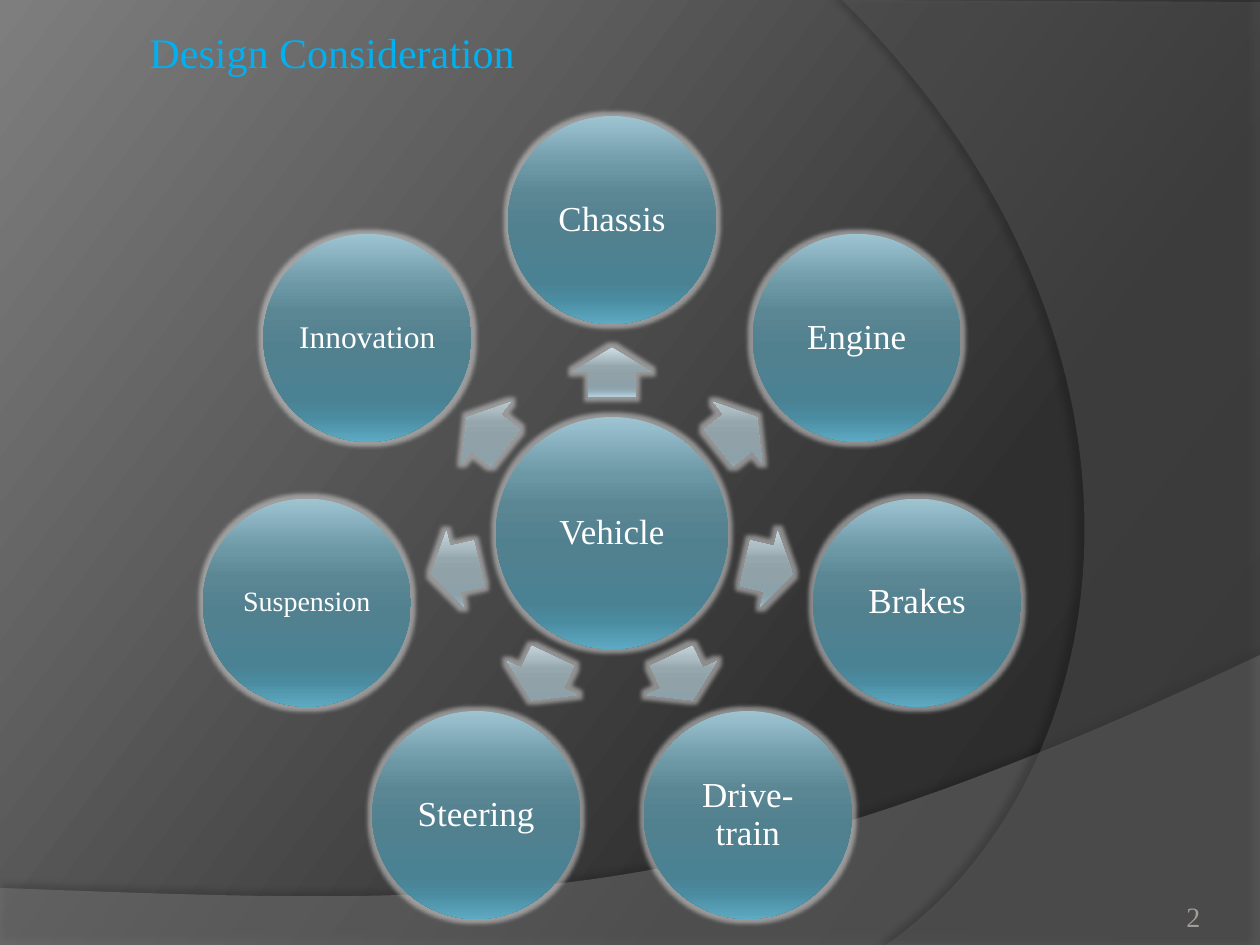
from dataclasses import dataclass
from math import cos, radians, sin

from lxml.etree import SubElement
from pptx import Presentation
from pptx.dml.color import RGBColor
from pptx.enum.shapes import MSO_SHAPE as Shape
from pptx.enum.text import MSO_ANCHOR as Anchor, MSO_AUTO_SIZE as AutoSize, PP_ALIGN as Align
from pptx.oxml.ns import qn
from pptx.util import Pt

EMU_PER_PX = 914400 / 126
WIDTH, HEIGHT = 1260, 945
CENTER = (612, 533)
HUB_SIZE, NODE_SIZE = 232, 208
NODE_ORBIT, ARROW_ORBIT = 313, 161
ARROW_SIZE = (49, 78)
CURVE_STEPS = 60


@dataclass(frozen=True)
class Theme:
    font: str = "Times New Roman"
    title: str = "00B0F0"
    label: str = "FFFFFF"
    number: str = "A29D99"
    glow: str = "E6E6E6"
    shadow: str = "000000"
    low_band: str = "7F7F7F"
    side_band: str = "5E5E5E"
    title_size: int = 24
    label_size: int = 20
    number_size: int = 16
    backdrop: tuple = ((0, "282828"), (30, "2F2F2F"), (100, "7E7E7E"))
    circle: tuple = ((0, "9EC4D2"), (25, "6C97A5"), (38, "5B8694"), (55, "51808F"),
                     (80, "4A8294"), (88, "4A8BA0"), (100, "5DAAC2"))
    arrow: tuple = ((0, "CCDEE5"), (25, "ACBCC3"), (38, "95A6AC"), (55, "90A1A8"),
                    (80, "8CA1A9"), (88, "92AAB4"), (100, "B4D0DC"))


THEME = Theme()
NODES = (("Chassis", THEME.label_size), ("Engine", THEME.label_size),
         ("Brakes", THEME.label_size), ("Drive-train", THEME.label_size),
         ("Steering", THEME.label_size), ("Suspension", 16), ("Innovation", 18))


def px(length):
    return round(length * EMU_PER_PX)


def orbit_point(radius, angle):
    """Point around the hub; angle in degrees, clockwise from the right."""
    turn = radians(angle)
    return CENTER[0] + radius * cos(turn), CENTER[1] + radius * sin(turn)


def curve(p0, p1, p2, p3):
    """Points along a cubic Bezier curve."""
    points = []
    for step in range(CURVE_STEPS + 1):
        t = step / CURVE_STEPS
        weights = ((1 - t) ** 3, 3 * t * (1 - t) ** 2, 3 * t * t * (1 - t), t ** 3)
        points.append(tuple(sum(w * p[axis] for w, p in zip(weights, (p0, p1, p2, p3)))
                            for axis in (0, 1)))
    return points


def add_color(parent, color, alpha=None):
    node = SubElement(parent, qn("a:srgbClr"), val=color)
    if alpha is not None:
        SubElement(node, qn("a:alpha"), val=str(alpha * 1000))


def paint_gradient(fill, element, stops, angle):
    """Linear gradient that stays upright when its shape turns."""
    fill.gradient()
    fill.gradient_angle = 360 - angle
    element.find(".//" + qn("a:gradFill")).set("rotWithShape", "0")
    stop_list = element.find(".//" + qn("a:gsLst"))
    for old in list(stop_list):
        stop_list.remove(old)
    for position, color in stops:
        add_color(SubElement(stop_list, qn("a:gs"), pos=str(position * 1000)), color)


def add_effect(shape, tag, color, alpha, **settings):
    shape.shadow.inherit = False
    effects = shape.element.spPr.find(qn("a:effectLst"))
    add_color(SubElement(effects, qn(tag), **settings), color, alpha)


def format_text(frame, color, size, anchor=Anchor.TOP, align=Align.LEFT):
    frame.word_wrap = True
    frame.vertical_anchor = anchor
    for para in frame.paragraphs:
        para.alignment = align
        for span in para.runs:
            span.font.name = THEME.font
            span.font.size = Pt(size)
            span.font.color.rgb = RGBColor.from_string(color)


def add_band(page, points, color, alpha, blur, distance, direction, shadow_alpha):
    """Translucent backdrop outline with a soft shadow."""
    outline = [(px(x), px(y)) for x, y in points]
    builder = page.shapes.build_freeform(*outline[0], scale=1.0)
    builder.add_line_segments(outline[1:], close=True)
    band = builder.convert_to_shape()
    band.fill.solid()
    band.fill.fore_color.rgb = RGBColor.from_string(color)
    rgb = band.element.spPr.find(".//" + qn("a:srgbClr"))
    SubElement(rgb, qn("a:alpha"), val=str(alpha * 1000))
    band.line.fill.background()
    add_effect(band, "a:outerShdw", THEME.shadow, shadow_alpha, blurRad=str(Pt(blur)),
               dist=str(Pt(distance)), dir=str(direction * 60000), rotWithShape="0")


def add_glowing(page, kind, center, size, stops):
    (x, y), (width, height) = center, size
    shape = page.shapes.add_shape(kind, px(x - width / 2), px(y - height / 2),
                                  px(width), px(height))
    paint_gradient(shape.fill, shape.element, stops, 90)
    shape.line.fill.background()
    add_effect(shape, "a:glow", THEME.glow, 50, rad=str(Pt(5)))
    return shape


def add_circle(page, label, center, diameter, text_size):
    circle = add_glowing(page, Shape.OVAL, center, (diameter, diameter), THEME.circle)
    frame = circle.text_frame
    frame.margin_left = frame.margin_right = frame.margin_top = frame.margin_bottom = px(4)
    frame.text = label
    frame.paragraphs[0].line_spacing = 0.9
    format_text(frame, THEME.label, text_size, Anchor.MIDDLE, Align.CENTER)


def add_arrow(page, angle):
    arrow = add_glowing(page, Shape.RIGHT_ARROW, orbit_point(ARROW_ORBIT, angle),
                        ARROW_SIZE, THEME.arrow)
    arrow.adjustments[0] = 0.6
    arrow.adjustments[1] = 0.5
    arrow.rotation = angle % 360


def add_backdrop(page):
    paint_gradient(page.background.fill, page.element, THEME.backdrop, 217)
    low_edge = curve((WIDTH, 655), (704, 919), (493, 906), (0, 888))
    add_band(page, [(0, HEIGHT), (WIDTH, HEIGHT), *low_edge],
             THEME.low_band, 45, 4, 3.5, 270, 35)
    side_edge = curve((886, HEIGHT), (1123, 780), (1193, 347), (842, 0))
    add_band(page, [(WIDTH, 2), (WIDTH, HEIGHT), *side_edge],
             THEME.side_band, 40, 4, 4, 180, 45)


def add_wheel(page):
    add_circle(page, "Vehicle", CENTER, HUB_SIZE, THEME.label_size)
    for index, (label, text_size) in enumerate(NODES):
        angle = index * 360 / len(NODES) - 90
        add_arrow(page, angle)
        add_circle(page, label, orbit_point(NODE_ORBIT, angle), NODE_SIZE, text_size)


def set_title(page, text):
    title = page.shapes.title
    title.left, title.top, title.width, title.height = px(137), px(20), px(932), px(63)
    title.text_frame.text = text
    title.text_frame.auto_size = AutoSize.NONE
    format_text(title.text_frame, THEME.title, THEME.title_size)


def add_page_number(page, number):
    box = page.shapes.add_textbox(px(1174), px(893), px(86), px(47))
    box.text_frame.text = number
    format_text(box.text_frame, THEME.number, THEME.number_size)


def main():
    deck = Presentation()
    deck.slide_width, deck.slide_height = px(WIDTH), px(HEIGHT)
    page = deck.slides.add_slide(deck.slide_layouts[5])
    add_backdrop(page)
    add_wheel(page)
    set_title(page, "Design Consideration")
    add_page_number(page, "2")
    deck.save("out.pptx")


if __name__ == "__main__":
    main()
